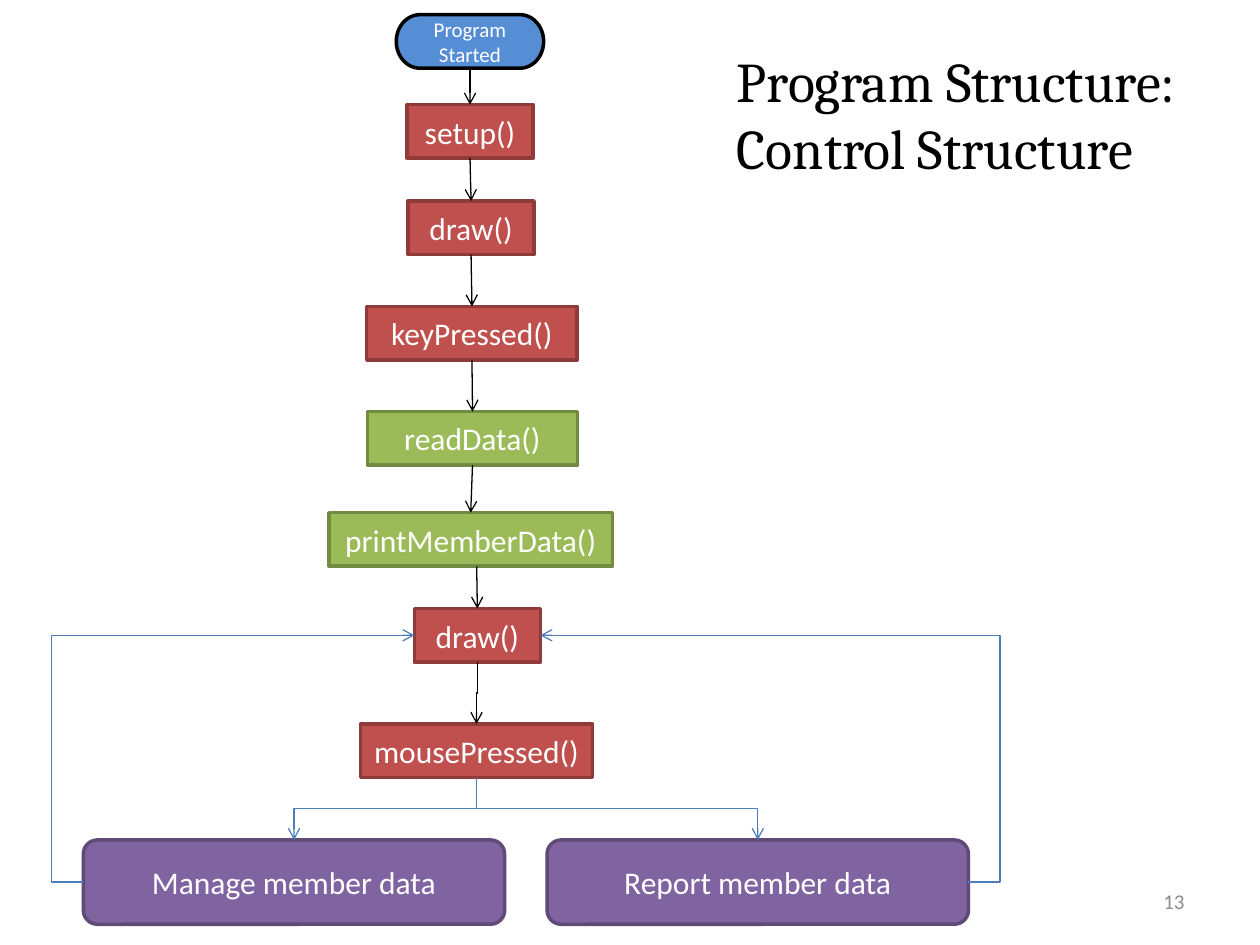
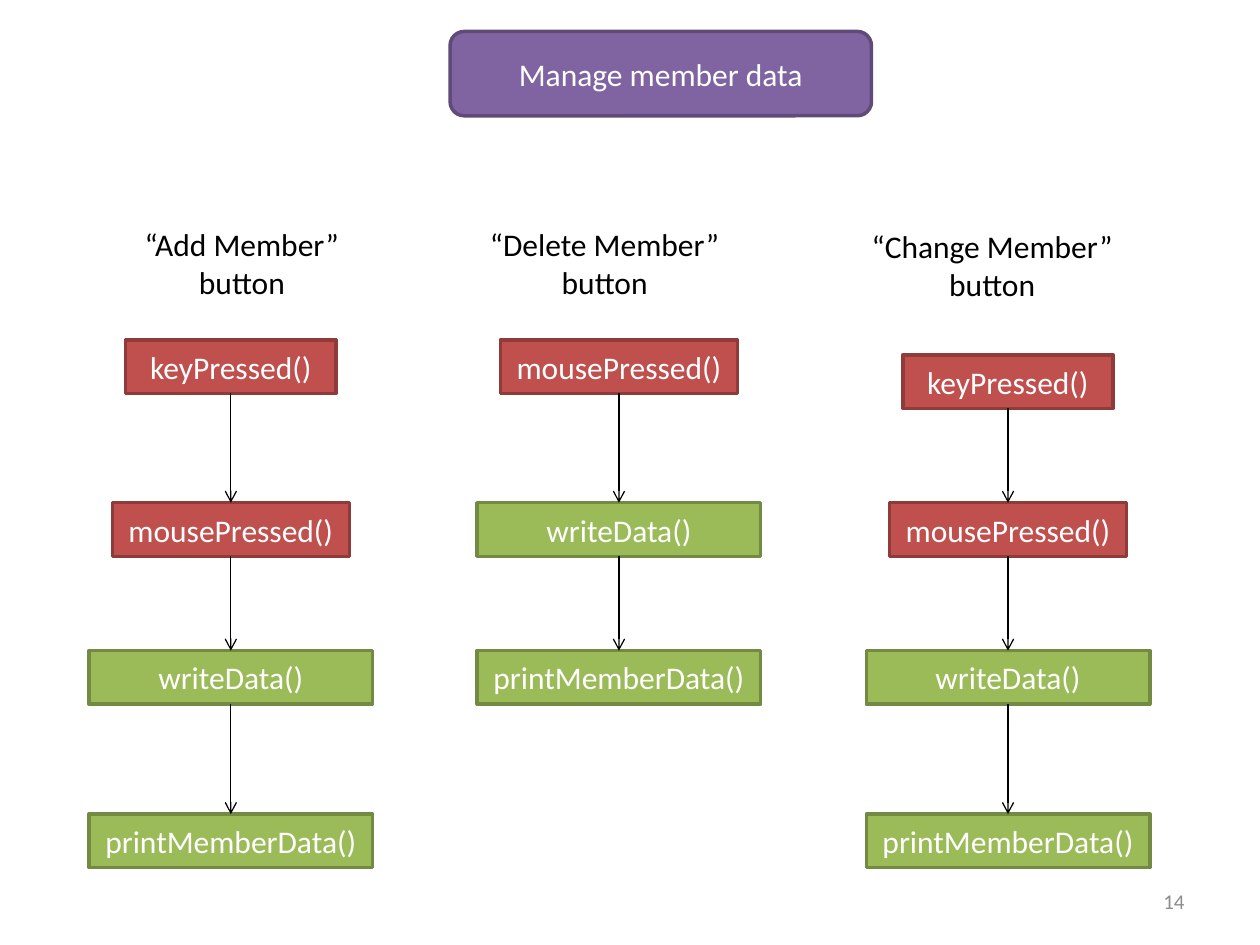
from collections import namedtuple

from lxml import etree
from pptx import Presentation
from pptx.dml.color import RGBColor
from pptx.enum import shapes, text
from pptx.oxml import ns
from pptx.util import Pt

Theme = namedtuple("Theme", "arrow loop shapes fonts line box_height")
Look = namedtuple("Look", "preset fill border font")

LEFT, CENTER, RIGHT = text.PP_ALIGN.LEFT, text.PP_ALIGN.CENTER, text.PP_ALIGN.RIGHT
PRESET = shapes.MSO_SHAPE
TOP, WEST, BOTTOM, EAST = range(4)  # connection sites of a box

theme = Theme(
    arrow="000000",
    loop="4B7EBC",
    shapes={
        "start": Look(PRESET.FLOWCHART_TERMINATOR, "558ED5", "000000", "small"),
        "event": Look(PRESET.FLOWCHART_PROCESS, "C0504D", "8E3B39", "step"),
        "data": Look(PRESET.FLOWCHART_PROCESS, "9BBB59", "738A42", "step"),
        "module": Look(PRESET.ROUNDED_RECTANGLE, "8064A2", "5F4A78", "step"),
        "title": Look(None, None, None, "title"),
        "label": Look(None, None, None, "label"),
        "number": Look(None, None, None, "number"),
    },
    fonts={
        "title": ({"name": "Cambria", "size": Pt(32)}, "000000"),
        "label": ({"name": "Calibri", "size": Pt(18)}, "000000"),
        "step": ({"name": "Calibri", "size": Pt(18)}, "FFFFFF"),
        "small": ({"name": "Calibri", "size": Pt(12)}, "FFFFFF"),
        "number": ({"name": "Calibri", "size": Pt(12)}, "8C8C8C"),
    },
    line={"border": Pt(2), "arrow": Pt(0.75)},
    box_height=30.6,
)


def add_box(page, lines, look_name, left, top, width, height, aligns=(CENTER,)):
    """Add a filled shape or plain text box with one paragraph per line."""
    look = theme.shapes[look_name]
    frame = [Pt(value) for value in (left, top, width, height)]
    if look.preset is None:
        box = page.shapes.add_textbox(*frame)
    else:
        box = page.shapes.add_shape(look.preset, *frame)
        box.shadow.inherit = False
        box.fill.solid()
        box.fill.fore_color.rgb = RGBColor.from_string(look.fill)
        box.line.color.rgb = RGBColor.from_string(look.border)
        box.line.width = theme.line["border"]

    body = box.text_frame
    grows = look_name in ("title", "label")
    body_format = {
        "word_wrap": not grows,
        "auto_size": text.MSO_AUTO_SIZE.SHAPE_TO_FIT_TEXT if grows else text.MSO_AUTO_SIZE.NONE,
        "vertical_anchor": text.MSO_ANCHOR.TOP if grows else text.MSO_ANCHOR.MIDDLE,
    }
    for name, value in body_format.items():
        setattr(body, name, value)

    font_format, color = theme.fonts[look.font]
    for index, line in enumerate(lines):
        para = body.add_paragraph() if index else body.paragraphs[0]
        para.alignment = aligns[index % len(aligns)]
        span = para.add_run()
        span.text = line
        for name, value in font_format.items():
            setattr(span.font, name, value)
        span.font.color.rgb = RGBColor.from_string(color)
    return box


def connect(page, start, end, sites=(BOTTOM, TOP), route="straight", color=theme.arrow, start_x=None):
    """Join two boxes by an arrow: straight, a downward step or a side loop."""
    kind = shapes.MSO_CONNECTOR.STRAIGHT if route == "straight" else shapes.MSO_CONNECTOR.ELBOW
    origin = (start_x or start.left, start.top + start.height)
    arrow = page.shapes.add_connector(kind, *origin, *origin)
    if start_x is None:
        arrow.begin_connect(start, sites[0])
    arrow.end_connect(end, sites[1])
    arrow.line.color.rgb = RGBColor.from_string(color)
    arrow.line.width = theme.line["arrow"]
    properties = arrow.element.spPr
    etree.SubElement(properties.find(ns.qn("a:ln")), ns.qn("a:tailEnd"), type="arrow")
    etree.SubElement(properties, ns.qn("a:effectLst"))

    run, drop = arrow.end_x - arrow.begin_x, arrow.end_y - arrow.begin_y
    if route == "step":
        # A step that leaves downward is a sideways elbow turned a quarter.
        middle_x = (arrow.begin_x + arrow.end_x) // 2
        middle_y = (arrow.begin_y + arrow.end_y) // 2
        place = {
            "left": middle_x - drop // 2,
            "top": middle_y - abs(run) // 2,
            "width": drop,
            "height": abs(run),
        }
        for name, value in place.items():
            setattr(arrow, name, value)
        turn = properties.find(ns.qn("a:xfrm"))
        turn.set("rot", "16200000" if run > 0 else "5400000")
        turn.set("flipH", "1" if run > 0 else "0")
    elif route == "loop":
        # The loop swings 18 points outside the box it leaves.
        bend = -round(100000 * Pt(18) / abs(run))
        guides = properties.find(ns.qn("a:prstGeom")).find(ns.qn("a:avLst"))
        etree.SubElement(guides, ns.qn("a:gd"), name="adj1", fmla=f"val {bend}")


deck = Presentation()
deck.slide_width, deck.slide_height = Pt(720), Pt(540)
pages = [deck.slides.add_slide(deck.slide_layouts[6]) for _ in range(2)]
for number, page in enumerate(pages, start=13):
    add_box(page, [str(number)], "number", 516, 500.5, 168, 28.8, (RIGHT,))
structure_page, manage_page = pages
module_size = (240.8, 48.2)

# Control structure: the main flow, then two modules that return to draw()
add_box(structure_page, ["Program Structure:", "Control Structure"], "title",
        414, 23, 280, 85, (LEFT,))

main_flow = [  # text, look, centre, top, width
    ("Program Started", "start", 268.6, 8.4, 84.2),
    ("setup()", "event", 268.6, 59.8, 72),
    ("draw()", "event", 269.2, 114.9, 72),
    ("keyPressed()", "event", 269.7, 175.1, 120.2),
    ("readData()", "data", 270, 235.2, 120.2),
    ("printMemberData()", "data", 269, 293, 162),
    ("draw()", "event", 272.8, 347.8, 72),
    ("mousePressed()", "event", 272.3, 413.7, 132.5),
]
flow = [
    add_box(structure_page, [label], look, centre - width / 2, top, width, theme.box_height)
    for label, look, centre, top, width in main_flow
]
print_step, draw_step, mouse_step = flow[-3:]
for start, end in zip(flow[:-3], flow[1:-2]):
    connect(structure_page, start, end)
connect(structure_page, print_step, draw_step, start_x=Pt(272.4))
connect(structure_page, draw_step, mouse_step, route="step")

for label, left, side in (("Manage member data", 47.6, WEST), ("Report member data", 312.6, EAST)):
    module = add_box(structure_page, [label], "module", left, 480, *module_size)
    connect(structure_page, mouse_step, module, route="step", color=theme.loop)
    connect(structure_page, module, draw_step, (side, side), "loop", theme.loop)

# Manage member data: one column of calls for each button
add_box(manage_page, ["Manage member data"], "module", 257.2, 18, *module_size)
calls = {  # look and width
    "keyPressed()": ("event", 120.2),
    "mousePressed()": ("event", 135.4),
    "writeData()": ("data", 162),
    "printMemberData()": ("data", 162),
}
row_tops = (194.2, 287.3, 371.8, 465.2)
columns = [  # button, label frame, axis, first call, shift of the first box
    ("Add", (75.6, 125.3, 126.7, 51), 131.9, 0, 0),
    ("Delete", (272.9, 125.3, 146.9, 51), 353.7, 1, 0),
    ("Change", (491, 126, 154, 51), 576, 0, 8.6),
]
for button, label_frame, axis, first, shift in columns:
    add_box(manage_page, [f"\u201c{button} Member\u201d", "button"], "label",
            *label_frame, (LEFT, CENTER))
    above = None
    for row, call in enumerate(list(calls)[first:]):
        look, width = calls[call]
        top = row_tops[row] + (0 if row else shift)
        box = add_box(manage_page, [call], look, axis - width / 2, top, width, theme.box_height)
        if above is not None:
            connect(manage_page, above, box)
        above = box

deck.save("out.pptx")
